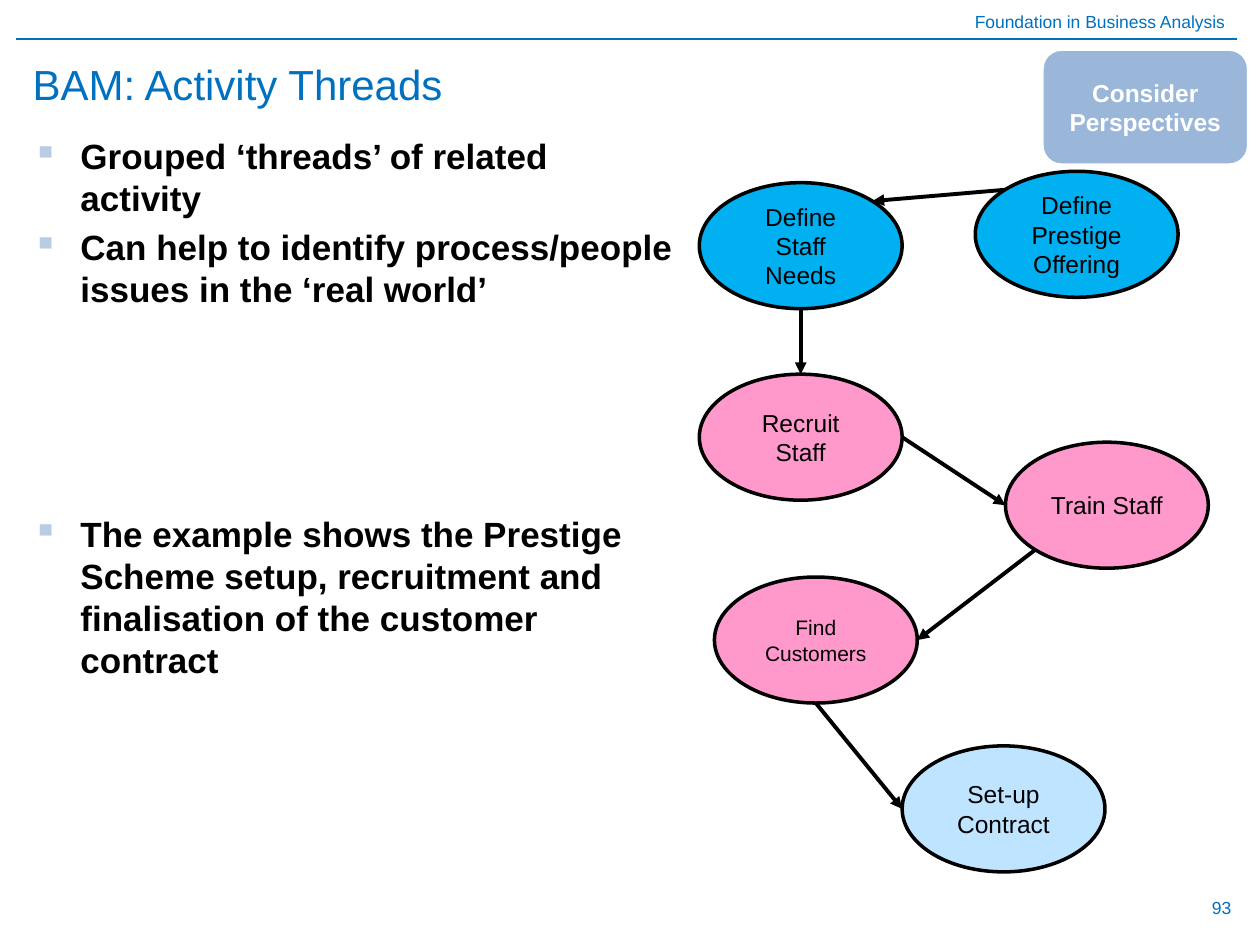
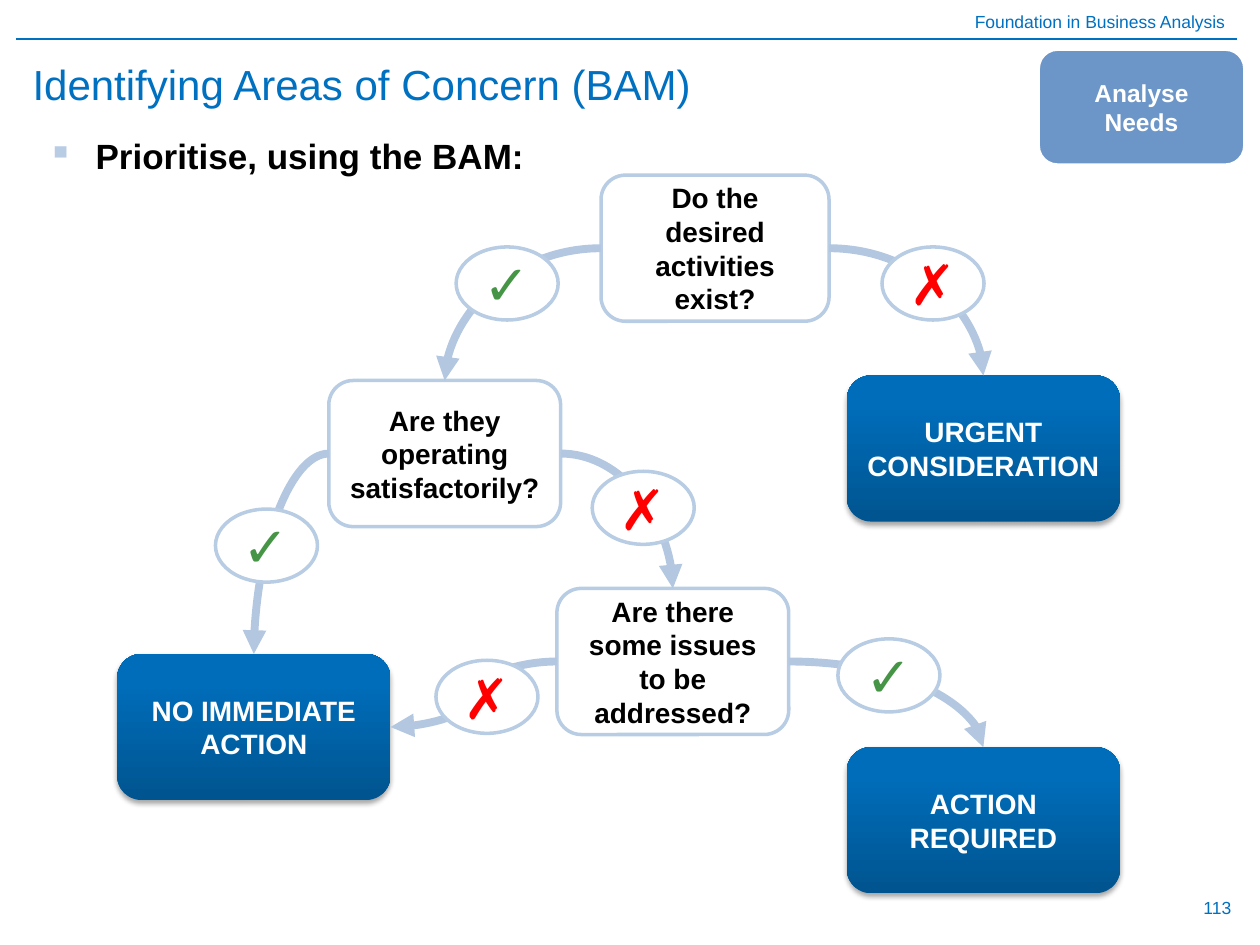
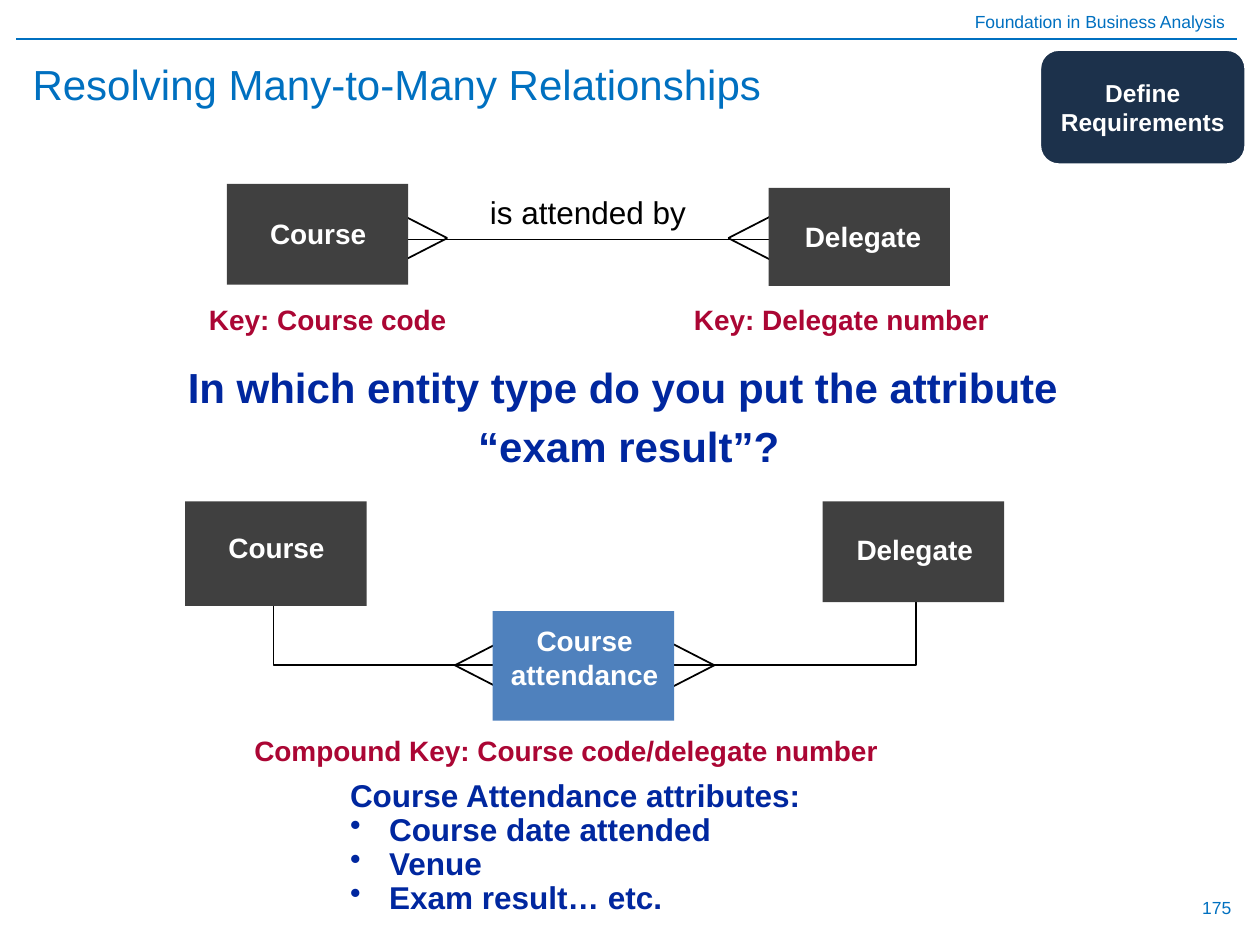
import dataclasses
import math
import typing

import lxml.etree
import pptx
import pptx.dml.color
import pptx.enum.shapes
import pptx.enum.text
import pptx.oxml.ns
import pptx.util

SHAPE = pptx.enum.shapes.MSO_SHAPE
CONNECTOR = pptx.enum.shapes.MSO_CONNECTOR
ALIGN = pptx.enum.text.PP_ALIGN
ANCHOR = pptx.enum.text.MSO_ANCHOR
qn = pptx.oxml.ns.qn

SLIDE_WIDTH = pptx.util.Inches(10)
SLIDE_HEIGHT = pptx.util.Inches(7.5)
COLUMN = SLIDE_WIDTH / 100
ROW = SLIDE_HEIGHT / 75
DIAGONAL = 0.5 - math.sqrt(0.125)  # share of an ellipse's frame at 45 degrees


class Point(typing.NamedTuple):
    column: float
    row: float

    def emu(self) -> tuple[int, int]:
        return round(self.column * COLUMN), round(self.row * ROW)


class Box(typing.NamedTuple):
    column: float
    row: float
    columns: float
    rows: float

    def emu(self) -> tuple[int, int, int, int]:
        return (*Point(self.column, self.row).emu(), *Point(self.columns, self.rows).emu())

    def at(self, across: float, down: float) -> Point:
        """Point at the given shares of the box's width and height."""
        return Point(self.column + across * self.columns, self.row + down * self.rows)


@dataclasses.dataclass(frozen=True)
class TextStyle:
    size: float
    color: str
    bold: bool = False


@dataclasses.dataclass(frozen=True)
class Theme:
    font: str = "Arial"
    brand: str = "0070C0"
    white: str = "FFFFFF"
    black: str = "000000"
    pale_blue: str = "B8CCE4"
    flow: str = "B3C7E0"
    outcome_dark: str = "00548F"
    outcome_light: str = "006DBA"
    define: str = "00B0F0"
    staff: str = "FF99CC"
    contract: str = "BFE4FF"
    entity: str = "404040"
    link_entity: str = "4F81BD"
    small: TextStyle = TextStyle(10, "0070C0")
    title: TextStyle = TextStyle(24, "0070C0")
    body: TextStyle = TextStyle(20, "000000", True)
    badge: TextStyle = TextStyle(14, "FFFFFF", True)
    activity: TextStyle = TextStyle(14, "000000")
    activity_small: TextStyle = TextStyle(12, "000000")
    question: TextStyle = TextStyle(16, "000000", True)
    label: TextStyle = TextStyle(16, "FFFFFF", True)
    yes: TextStyle = TextStyle(32, "469446", True)
    no: TextStyle = TextStyle(32, "FF0000", True)
    key: TextStyle = TextStyle(16, "AB0634", True)
    prompt: TextStyle = TextStyle(24, "00279F", True)
    attributes: TextStyle = TextStyle(18, "00279F", True)
    relation: TextStyle = TextStyle(18, "000000")


THEME = Theme()


@dataclasses.dataclass(frozen=True)
class Bullet:
    symbol: str
    indent: float
    color: str


@dataclasses.dataclass(frozen=True)
class Line:
    text: str
    bullet: Bullet | None = None
    before: float = 0
    spacing: float | None = None


@dataclasses.dataclass(frozen=True)
class Activity:
    text: str
    box: Box
    fill: str
    style: TextStyle = THEME.activity


@dataclasses.dataclass(frozen=True)
class Entity:
    box: Box
    label: Box
    lines: tuple[str, ...]
    fill: str = THEME.entity


SQUARE = Bullet("▪", 3.8, THEME.pale_blue)
DOT = Bullet("•", 3.1, THEME.attributes.color)


def rgb(color: str) -> pptx.dml.color.RGBColor:
    return pptx.dml.color.RGBColor.from_string(color)


def add_bullet(para, bullet: Bullet) -> None:
    properties = para._p.get_or_add_pPr()
    indent = round(bullet.indent * COLUMN)
    properties.set("marL", str(indent))
    properties.set("indent", str(-indent))
    color = lxml.etree.SubElement(properties, qn("a:buClr"))
    lxml.etree.SubElement(color, qn("a:srgbClr"), val=bullet.color)
    lxml.etree.SubElement(properties, qn("a:buChar"), char=bullet.symbol)


def write(frame, lines: typing.Iterable[Line], style: TextStyle, align) -> None:
    for index, line in enumerate(lines):
        para = frame.add_paragraph() if index else frame.paragraphs[0]
        para.text = line.text
        if line.bullet:
            add_bullet(para, line.bullet)
        para.alignment = align
        if line.before:
            para.space_before = pptx.util.Pt(line.before)
        if line.spacing:
            para.line_spacing = line.spacing
        for span in para.runs:
            span.font.name = THEME.font
            span.font.size = pptx.util.Pt(style.size)
            span.font.bold = style.bold
            span.font.color.rgb = rgb(style.color)


def add_text(slide, box: Box, lines: typing.Iterable[Line], style: TextStyle,
             align=ALIGN.LEFT, anchor=ANCHOR.TOP, wrap: bool = True):
    text_box = slide.shapes.add_textbox(*box.emu())
    text_box.text_frame.word_wrap = wrap
    text_box.text_frame.vertical_anchor = anchor
    write(text_box.text_frame, lines, style, align)
    return text_box


def add_box(slide, kind, box: Box, fill: str | None, outline: str | None = None,
            text: str = "", style: TextStyle = THEME.label):
    shape = slide.shapes.add_shape(kind, *box.emu())
    shape.shadow.inherit = False
    if fill:
        shape.fill.solid()
        shape.fill.fore_color.rgb = rgb(fill)
    if outline:
        shape.line.color.rgb = rgb(outline)
        shape.line.width = pptx.util.Pt(2)
    else:
        shape.line.fill.background()
    if text:
        shape.text_frame.word_wrap = True
        shape.text_frame.vertical_anchor = ANCHOR.MIDDLE
        write(shape.text_frame, [Line(text)], style, ALIGN.CENTER)
    return shape


def add_line(slide, start: Point, end: Point, color: str, width: float,
             arrow: bool = False, kind=CONNECTOR.STRAIGHT):
    connector = slide.shapes.add_connector(kind, *start.emu(), *end.emu())
    connector.line.color.rgb = rgb(color)
    connector.line.width = pptx.util.Pt(width)
    if arrow:
        lxml.etree.SubElement(connector.line._get_or_add_ln(), qn("a:tailEnd"), type="triangle")
    lxml.etree.SubElement(connector.element.spPr, qn("a:effectLst"))
    return connector


def add_flow(slide, start: Point, end: Point, quarter: bool = True) -> None:
    """Curved arrow; a quarter turn leaves sideways and arrives from above."""
    connector = add_line(slide, start, end, THEME.flow, 4.5, True, CONNECTOR.CURVE)
    if quarter:
        connector.element.spPr.find(qn("a:prstGeom")).set("prst", "curvedConnector2")


def add_outcome(slide, box: Box, text: str) -> None:
    shape = add_box(slide, SHAPE.ROUNDED_RECTANGLE, box, None, text=text)
    shape.fill.gradient()
    shape.fill.gradient_angle = 90
    dark, light = shape.fill.gradient_stops
    dark.color.rgb, dark.position = rgb(THEME.outcome_dark), 0
    light.color.rgb, light.position = rgb(THEME.outcome_light), 0.8
    effects = shape.element.spPr.find(qn("a:effectLst"))
    shadow = lxml.etree.SubElement(
        effects, qn("a:outerShdw"), blurRad=str(pptx.util.Pt(3.1)),
        dist=str(pptx.util.Pt(1.8)), dir="5400000", rotWithShape="0")
    color = lxml.etree.SubElement(shadow, qn("a:srgbClr"), val=THEME.black)
    lxml.etree.SubElement(color, qn("a:alpha"), val="35000")


def add_elbow(slide, points: list[Point]) -> None:
    builder = slide.shapes.build_freeform(*points[0].emu(), scale=1.0)
    builder.add_line_segments([point.emu() for point in points[1:]], close=False)
    elbow = builder.convert_to_shape()
    elbow.shadow.inherit = False
    elbow.fill.background()
    elbow.line.color.rgb = rgb(THEME.black)
    elbow.line.width = pptx.util.Pt(1)


def add_crows_foot(slide, tip: Point, reach: float) -> None:
    """Two toes that spread from the tip to an entity's edge, reach columns away."""
    for spread in (-1.95, 1.95):
        toe = Point(tip.column + reach, tip.row + spread)
        add_line(slide, tip, toe, THEME.black, 1)


def add_page(deck, title: str, number: int, badge: str, badge_fill: str, badge_column: float):
    page = deck.slides.add_slide(deck.slide_layouts[6])
    header = add_text(page, Box(0, 0.4, 100, 2.7), [Line("Foundation in Business Analysis")],
                      THEME.small, ALIGN.RIGHT)
    header.text_frame.margin_right = round(2.8 * COLUMN)
    add_line(page, Point(1.3, 3.1), Point(98.2, 3.1), THEME.brand, 0.75)
    add_text(page, Box(75.4, 70, 23.3, 4), [Line(str(number))], THEME.small,
             ALIGN.RIGHT, ANCHOR.MIDDLE)
    add_text(page, Box(1.6, 3.9, 96.1, 5.5), [Line(title)], THEME.title, anchor=ANCHOR.MIDDLE)
    add_box(page, SHAPE.ROUNDED_RECTANGLE, Box(badge_column, 3.9, 16.4, 9.2), badge_fill,
            THEME.white, badge, THEME.badge)
    return page


def build_threads(deck) -> None:
    page = add_page(deck, "BAM: Activity Threads", 93, "Consider Perspectives", "9AB7D9", 82.7)
    add_text(page, Box(1.6, 10.2, 52.8, 57), [
        Line("Grouped ‘threads’ of related activity", SQUARE),
        Line("Can help to identify process/people issues in the ‘real world’", SQUARE, 4),
        Line("The example shows the Prestige Scheme setup, recruitment and finalisation "
             "of the customer contract", SQUARE, 116),
    ], THEME.body)

    def oval(column: float, row: float) -> Box:
        return Box(column, row, 16.1, 10)

    offering = Activity("Define Prestige Offering", oval(77.4, 13.6), THEME.define)
    needs = Activity("Define Staff Needs", oval(55.5, 14.5), THEME.define)
    recruit = Activity("Recruit Staff", oval(55.5, 29.7), THEME.staff)
    train = Activity("Train Staff", oval(79.8, 35.1), THEME.staff)
    find = Activity("Find Customers", oval(56.7, 45.8), THEME.staff, THEME.activity_small)
    contract = Activity("Set-up Contract", oval(71.6, 59.2), THEME.contract)
    for activity in (offering, needs, recruit, train, find, contract):
        add_box(page, SHAPE.OVAL, activity.box, activity.fill, THEME.black,
                activity.text, activity.style)
    for start, end in (
        (offering.box.at(DIAGONAL, DIAGONAL), needs.box.at(1 - DIAGONAL, DIAGONAL)),
        (needs.box.at(0.5, 1), recruit.box.at(0.5, 0)),
        (recruit.box.at(1, 0.5), train.box.at(0, 0.5)),
        (train.box.at(DIAGONAL, 1 - DIAGONAL), find.box.at(1, 0.5)),
        (find.box.at(0.5, 1), contract.box.at(0, 0.5)),
    ):
        add_line(page, start, end, THEME.black, 2.25, arrow=True)


def build_concerns(deck) -> None:
    page = add_page(deck, "Identifying Areas of Concern (BAM)", 113, "Analyse Needs",
                    "6D96C8", 82.4)
    add_text(page, Box(2.8, 10.2, 94.8, 59.6), [Line("Prioritise, using the BAM:", SQUARE)],
             THEME.body)
    exist = Box(47.7, 13.9, 18.1, 11.6)
    operating = Box(26.1, 30.2, 18.4, 11.6)
    issues = Box(44.2, 46.7, 18.4, 11.6)
    urgent = Box(67.2, 29.8, 21.7, 11.6)
    no_action = Box(9.3, 51.9, 21.7, 11.6)
    required = Box(67.2, 59.3, 21.7, 11.6)
    for box, text in ((exist, "Do the desired activities exist?"),
                      (operating, "Are they operating satisfactorily?"),
                      (issues, "Are there some issues to be addressed?")):
        add_box(page, SHAPE.ROUNDED_RECTANGLE, box, THEME.white, THEME.pale_blue,
                text, THEME.question)
    for box, text in ((urgent, "URGENT CONSIDERATION"), (no_action, "NO IMMEDIATE ACTION"),
                      (required, "ACTION REQUIRED")):
        add_outcome(page, box, text)
    for question, side, target in ((exist, 0, operating), (exist, 1, urgent),
                                   (operating, 1, issues), (operating, 0, no_action),
                                   (issues, 1, required)):
        add_flow(page, question.at(side, 0.5), target.at(0.5, 0))
    add_flow(page, issues.at(0, 0.5), no_action.at(1, 0.5), quarter=False)
    answers = {"✓": THEME.yes, "✗": THEME.no}
    for mark, column, row in (("✗", 70, 19.6), ("✓", 36.2, 19.6), ("✓", 17.1, 40.4),
                              ("✗", 47, 37.4), ("✓", 66.5, 50.7), ("✗", 34.6, 52.4)):
        add_box(page, SHAPE.OVAL, Box(column, row, 8.1, 5.8), THEME.white, THEME.pale_blue,
                mark, answers[mark])


def build_relationships(deck) -> None:
    page = add_page(deck, "Resolving Many-to-Many Relationships", 175, "Define Requirements",
                    "1C314B", 82.5)
    for tip, reach in ((Point(56.7, 52.8), -3.8), (Point(36.1, 52.8), 3.8),
                       (Point(57.8, 18.9), 3.8), (Point(35.5, 18.9), -3.8)):
        add_crows_foot(page, tip, reach)
    for outer, inner in ((72.7, 52.5), (21.7, 41.8)):
        add_elbow(page, [Point(outer, 44.4), Point(outer, 52.8), Point(inner, 52.8)])
    add_line(page, Point(31.5, 19), Point(62.7, 19), THEME.black, 1)
    for entity in (
        Entity(Box(18, 14.6, 14.4, 8), Box(20.4, 16.7, 9.7, 3.7), ("Course",)),
        Entity(Box(61, 14.9, 14.4, 7.8), Box(62.8, 16.9, 11.4, 3.7), ("Delegate",)),
        Entity(Box(14.7, 39.8, 14.4, 8.3), Box(17.1, 41.6, 9.7, 3.7), ("Course",)),
        Entity(Box(65.3, 39.8, 14.4, 8), Box(66.9, 41.8, 11.4, 3.7), ("Delegate",)),
        Entity(Box(39.1, 48.5, 14.4, 8.7), Box(39.3, 49, 14.2, 6.4),
               ("Course", "attendance"), THEME.link_entity),
    ):
        add_box(page, SHAPE.RECTANGLE, entity.box, entity.fill)
        add_text(page, entity.label, map(Line, entity.lines), THEME.label, ALIGN.CENTER)
    add_text(page, Box(3.3, 28.2, 93.2, 11.4), [
        Line("In which entity type do you put the attribute "),
        Line("“exam result”?", before=4.8),
    ], THEME.prompt, ALIGN.CENTER)
    for box, text in ((Box(15.6, 23.5, 21.1, 3.7), "Key: Course code"),
                      (Box(54.1, 23.5, 25.7, 3.7), "Key: Delegate number"),
                      (Box(19.2, 57.7, 52.4, 3.7), "Compound Key: Course code/delegate number")):
        add_text(page, box, [Line(text)], THEME.key, wrap=False)
    add_text(page, Box(26.8, 61.4, 48.6, 14), [
        Line("Course Attendance attributes:", spacing=0.9),
        *(Line(text, DOT, spacing=0.9)
          for text in ("Course date attended", "Venue", "Exam result… etc.")),
    ], THEME.attributes)
    add_text(page, Box(37.9, 14.8, 18.7, 4), [Line("is attended by")], THEME.relation)


def main() -> None:
    deck = pptx.Presentation()
    deck.slide_width, deck.slide_height = SLIDE_WIDTH, SLIDE_HEIGHT
    build_threads(deck)
    build_concerns(deck)
    build_relationships(deck)
    deck.save("out.pptx")


if __name__ == "__main__":
    main()
